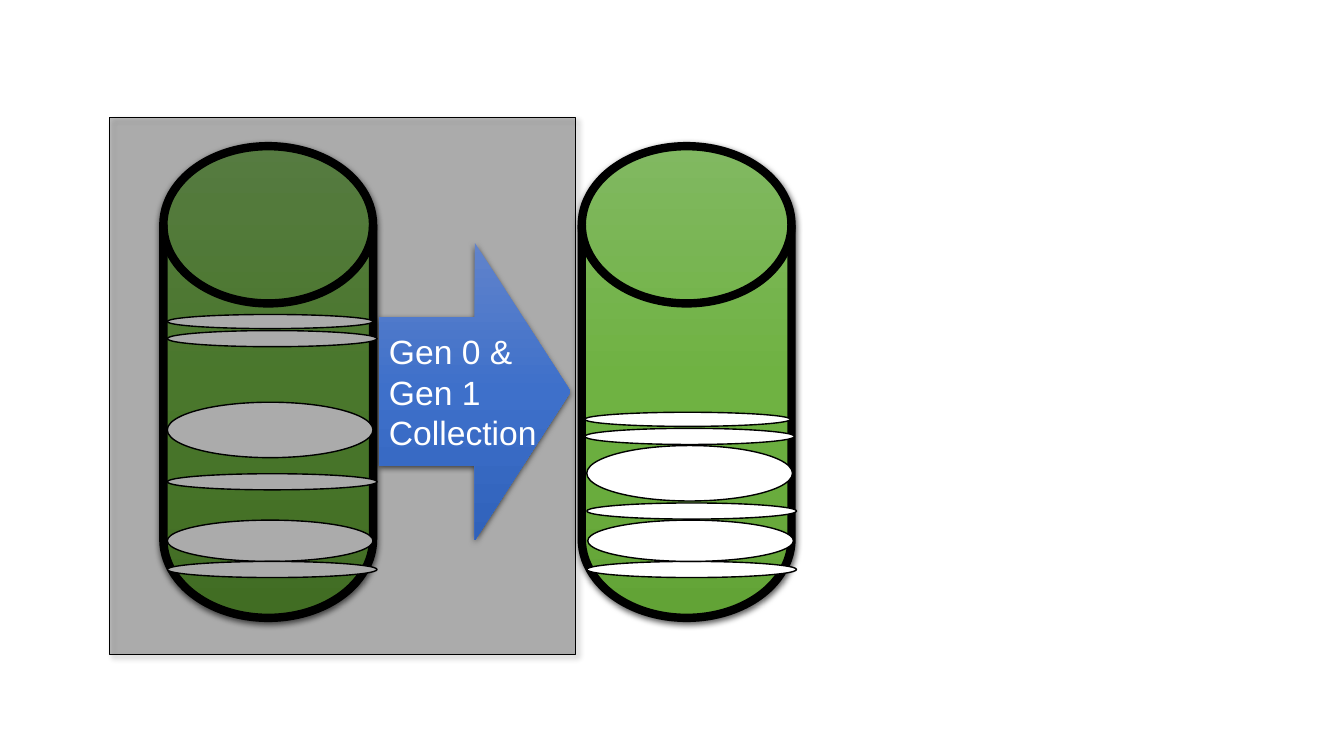
from pptx import Presentation
from pptx.dml.color import RGBColor as RGB
from pptx.enum.shapes import MSO_SHAPE as Kind
from pptx.enum.text import MSO_ANCHOR as Anchor, PP_ALIGN as Align
from pptx.oxml import parse_xml
from pptx.oxml.ns import nsdecls, qn
from pptx.util import Pt

SCALE = 9144
BLACK = RGB(0x00, 0x00, 0x00)
WHITE = RGB(0xFF, 0xFF, 0xFF)
GREENS = RGB(0x81, 0xB8, 0x61), RGB(0x6F, 0xB2, 0x42), RGB(0x62, 0xA3, 0x36)
BLUES = RGB(0x61, 0x83, 0xCB), RGB(0x3E, 0x70, 0xCA), RGB(0x30, 0x62, 0xBB)
DEEP = {"alpha": 63, "blur": 4.5, "dist": 1.5, "angle": 90}
SOFT = {"alpha": 40, "blur": 4, "dist": 3, "angle": 45}

BEFORE = [(4, 371, 204, 41), (4, 412, 208, 16), (4, 254, 204, 55),
          (4, 325, 208, 16), (4, 167, 204, 14), (4, 183, 208, 16)]
AFTER = [(5, 412, 208, 16), (5, 297, 204, 55), (5, 354, 208, 16),
         (3, 264, 204, 14), (6, 371, 204, 41), (3, 280, 208, 16)]


def px(*nums):
    return [n * SCALE for n in nums]


def blend(shape, tones):
    stops = "".join(
        f'<a:gs pos="{i * 50000}"><a:srgbClr val="{tone}"/></a:gs>'
        for i, tone in enumerate(tones))
    shape.element.spPr.append(parse_xml(
        f'<a:gradFill {nsdecls("a")} rotWithShape="1"><a:gsLst>{stops}</a:gsLst>'
        '<a:lin ang="5400000" scaled="0"/></a:gradFill>'))


def shade(shape, alpha, blur, dist, angle):
    shape.element.spPr.find(qn("a:effectLst")).append(parse_xml(
        f'<a:outerShdw {nsdecls("a")} blurRad="{Pt(blur)}" dist="{Pt(dist)}" '
        f'dir="{angle * 60000}" rotWithShape="0"><a:srgbClr val="{BLACK}">'
        f'<a:alpha val="{alpha * 1000}"/></a:srgbClr></a:outerShdw>'))


def draw(slide, kind, box, fill, line=0, glow=None):
    shape = slide.shapes.add_shape(kind, *px(*box))
    if isinstance(fill, RGB):
        shape.fill.solid()
        shape.fill.fore_color.rgb = fill
    else:
        blend(shape, fill)
    if line:
        shape.line.color.rgb = BLACK
        shape.line.width = Pt(line)
    else:
        shape.line.fill.background()
    shape.shadow.inherit = False
    if glow:
        shade(shape, **glow)
    return shape


def heap(slide, box, holes):
    left, top = box[:2]
    draw(slide, Kind.FLOWCHART_MAGNETIC_DISK, box, GREENS, 6, DEEP)
    for x, y, wide, high in holes:
        draw(slide, Kind.OVAL, (left + x, top + y, wide, high), WHITE, 1)


def veil(slide, box):
    shape = draw(slide, Kind.RECTANGLE, box, BLACK, 0.75, SOFT)
    tint = shape.element.spPr.find(qn("a:solidFill"))[0]
    tint.append(parse_xml(f'<a:alpha {nsdecls("a")} val="25000"/>'))


def arrow(slide, box, text):
    frame = draw(slide, Kind.RIGHT_ARROW, box, BLUES, glow=DEEP).text_frame
    frame.word_wrap = False
    frame.vertical_anchor = Anchor.MIDDLE
    frame.text = text
    para = frame.paragraphs[0]
    para.alignment = Align.LEFT
    for run in para.runs:
        for name, value in {"size": Pt(24), "name": "Arial"}.items():
            setattr(run.font, name, value)
        run.font.color.rgb = WHITE


def main():
    deck = Presentation()
    deck.slide_width, deck.slide_height = px(1333, 750)
    slide = deck.slides.add_slide(deck.slide_layouts[6])
    heap(slide, (162, 145, 208, 468), BEFORE)
    veil(slide, (109, 117, 462, 532))
    arrow(slide, (376, 241, 190, 295), "Gen 0 &\vGen 1\vCollection")
    heap(slide, (577, 145, 208, 468), AFTER)
    deck.save("out.pptx")


if __name__ == "__main__":
    main()
